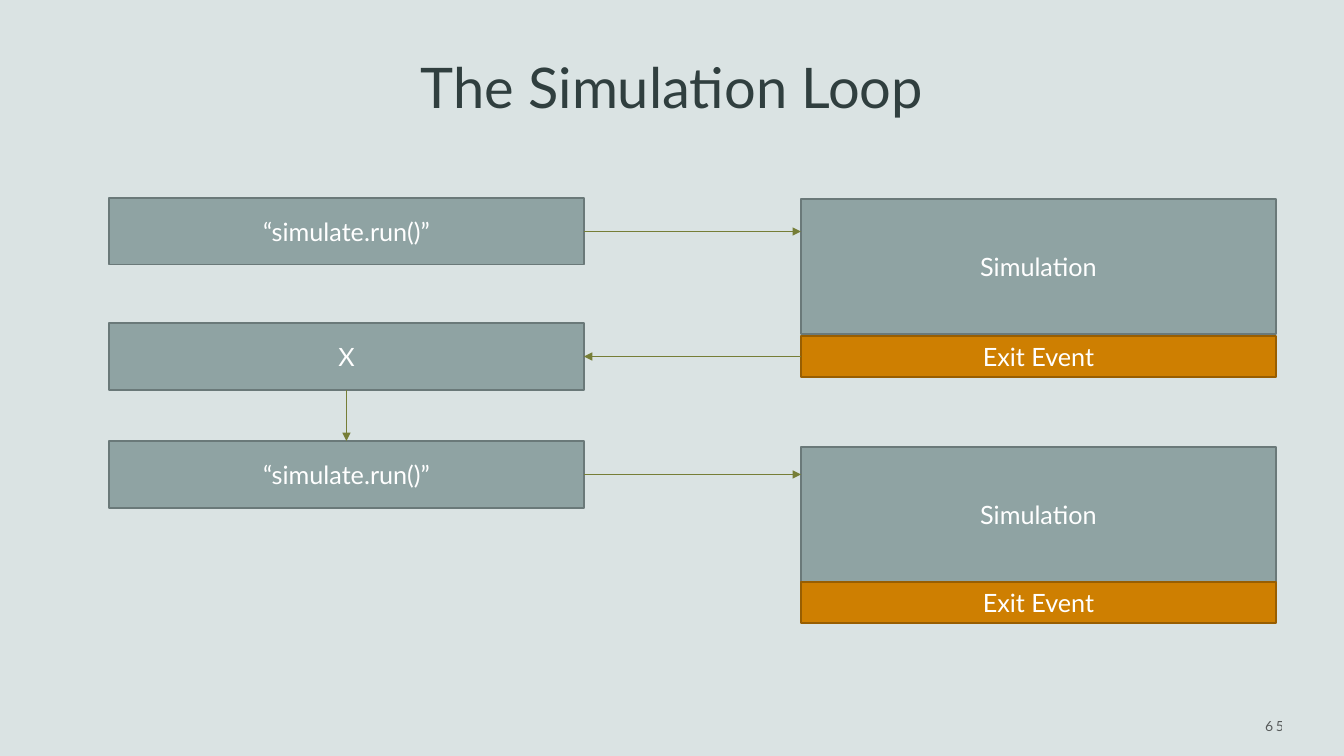
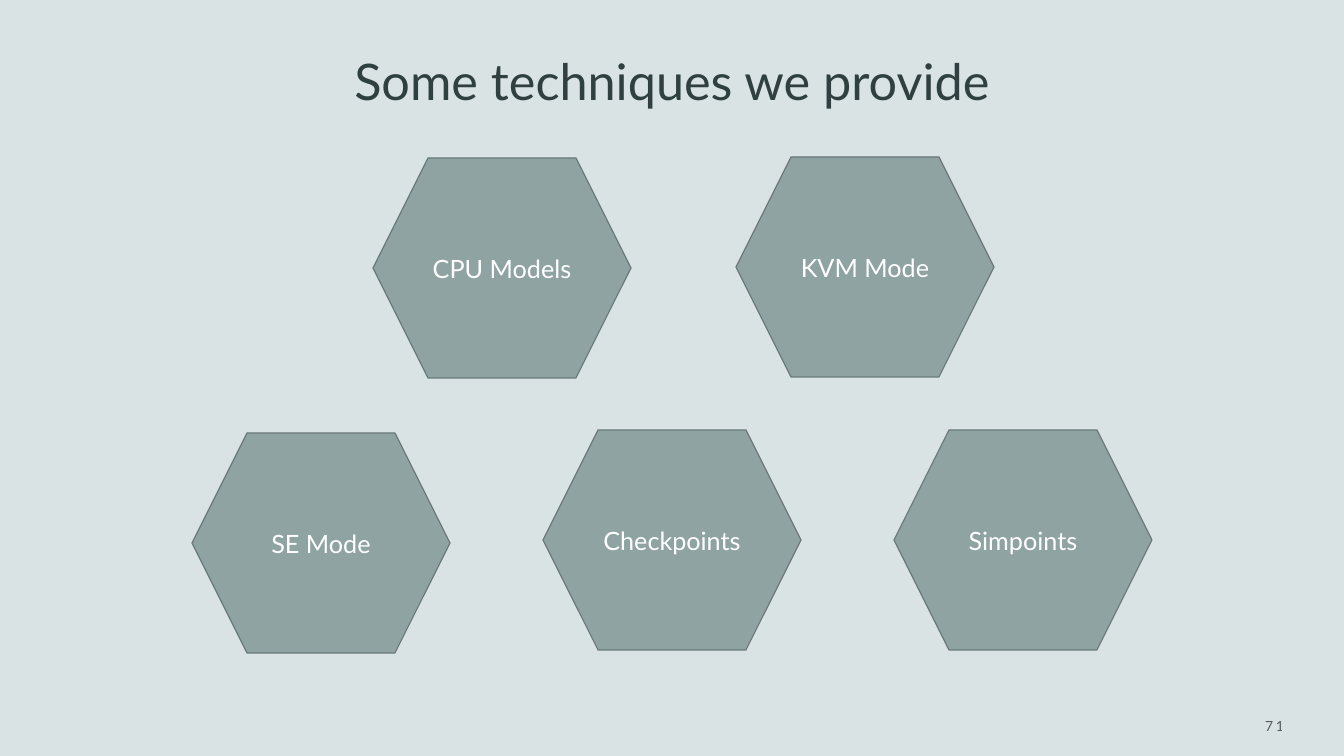
from lxml import etree
from pptx import Presentation
from pptx import util as u
from pptx.dml.color import RGBColor
from pptx.enum import shapes, text
from pptx.oxml.ns import qn

PX = u.Inches(40) / 4032  # 100.8 px to the inch
BACKGROUND = RGBColor(0xDA, 0xE3, 0xE3)
HEADING = RGBColor(0x30, 0x3F, 0x3F)
BLACK = RGBColor(0, 0, 0)
WHITE = RGBColor(0xFF, 0xFF, 0xFF)
SAGE = RGBColor(0x8F, 0xA3, 0xA3)
SAGE_EDGE = RGBColor(0x6A, 0x79, 0x79)
ORANGE = RGBColor(0xCE, 0x7F, 0x01)
ORANGE_EDGE = RGBColor(0x98, 0x5E, 0x01)
OLIVE = RGBColor(0x76, 0x7E, 0x37)
RECTANGLE = shapes.MSO_SHAPE.RECTANGLE
HEXAGON = shapes.MSO_SHAPE.HEXAGON
TOP, LEFT, BOTTOM, RIGHT = range(4)


def write(shape, words, size=18, color=WHITE, align=text.PP_ALIGN.CENTER,
          anchor=text.MSO_ANCHOR.MIDDLE):
    frame = shape.text_frame
    frame.word_wrap = True
    frame.auto_size = text.MSO_AUTO_SIZE.NONE
    frame.vertical_anchor = anchor
    para = frame.paragraphs[0]
    para.alignment = align
    span = para.add_run()
    span.text = words
    span.font.name = "Lato"
    span.font.size = u.Pt(size)
    span.font.color.rgb = color
    return span


def add_block(page, kind, place, words, fill=SAGE, edge=SAGE_EDGE):
    block = page.shapes.add_shape(kind, *(round(n * PX) for n in place))
    block.shadow.inherit = False
    block.fill.solid()
    block.fill.fore_color.rgb = fill
    block.line.color.rgb = edge
    block.line.width = u.Pt(0.85)
    write(block, words)
    return block


deck = Presentation()
deck.slide_width, deck.slide_height = round(1344 * PX), round(756 * PX)
backdrop = deck.slide_master.background.fill
backdrop.solid()
backdrop.fore_color.rgb = BACKGROUND

# Titles and page numbers
pages = []
for heading, size, top, height, number in (
    ("The Simulation Loop", 40, 58, 67, "65"),
    ("Some techniques we provide", 36, 43, 73, "71"),
):
    page = deck.slides.add_slide(deck.slide_layouts[5])
    pages.append(page)
    title = page.shapes.title
    title.left, title.top = round(109 * PX), round(top * PX)
    title.width, title.height = round(1126 * PX), round(height * PX)
    write(title, heading, size=size, color=HEADING, anchor=text.MSO_ANCHOR.BOTTOM)

    box = page.shapes.add_textbox(*(round(n * PX) for n in (1101, 701, 193, 50)))
    span = write(box, number, size=10, color=BLACK, align=text.PP_ALIGN.RIGHT)
    span.font._element.set("spc", "200")
    ink = span.font._element.find(".//" + qn("a:srgbClr"))
    etree.SubElement(ink, qn("a:alpha"), val="60000")

loop_page, techniques_page = pages

# Simulation loop: script steps on the left, simulator on the right
steps = [
    add_block(loop_page, RECTANGLE, (109, top, 475, 67), words)
    for top, words in ((198, "“simulate.run()”"), (323, "X"), (441, "“simulate.run()”"))
]
exits = []
for top, exit_top in ((199, 336), (447, 582)):
    add_block(loop_page, RECTANGLE, (801, top, 475, 135), "Simulation")
    exits.append(add_block(loop_page, RECTANGLE, (801, exit_top, 475, 41),
                           "Exit Event", fill=ORANGE, edge=ORANGE_EDGE))

# Arrows: a run enters its simulation above the middle of the side
first_run, reaction, second_run = steps
for start, start_side, end, end_side in (
    (first_run, RIGHT, None, None),
    (exits[0], LEFT, reaction, RIGHT),
    (reaction, BOTTOM, second_run, TOP),
    (second_run, RIGHT, None, None),
):
    middle = start.top + start.height // 2
    arrow = loop_page.shapes.add_connector(
        shapes.MSO_CONNECTOR.STRAIGHT, start.left + start.width, middle,
        round(801 * PX), middle)
    arrow.begin_connect(start, start_side)
    if end is not None:
        arrow.end_connect(end, end_side)
    arrow.line.color.rgb = OLIVE
    arrow.line.width = u.Pt(0.75)
    etree.SubElement(arrow.line._get_or_add_ln(), qn("a:tailEnd"), type="triangle")
    etree.SubElement(arrow._element.spPr, qn("a:effectLst"))

# Technique hexagons
for left, top, words in (
    (373, 158, "CPU Models"),
    (736, 157, "KVM Mode"),
    (543, 430, "Checkpoints"),
    (894, 430, "Simpoints"),
    (192, 433, "SE Mode"),
):
    add_block(techniques_page, HEXAGON, (left, top, 258, 220), words)

deck.save("out.pptx")
